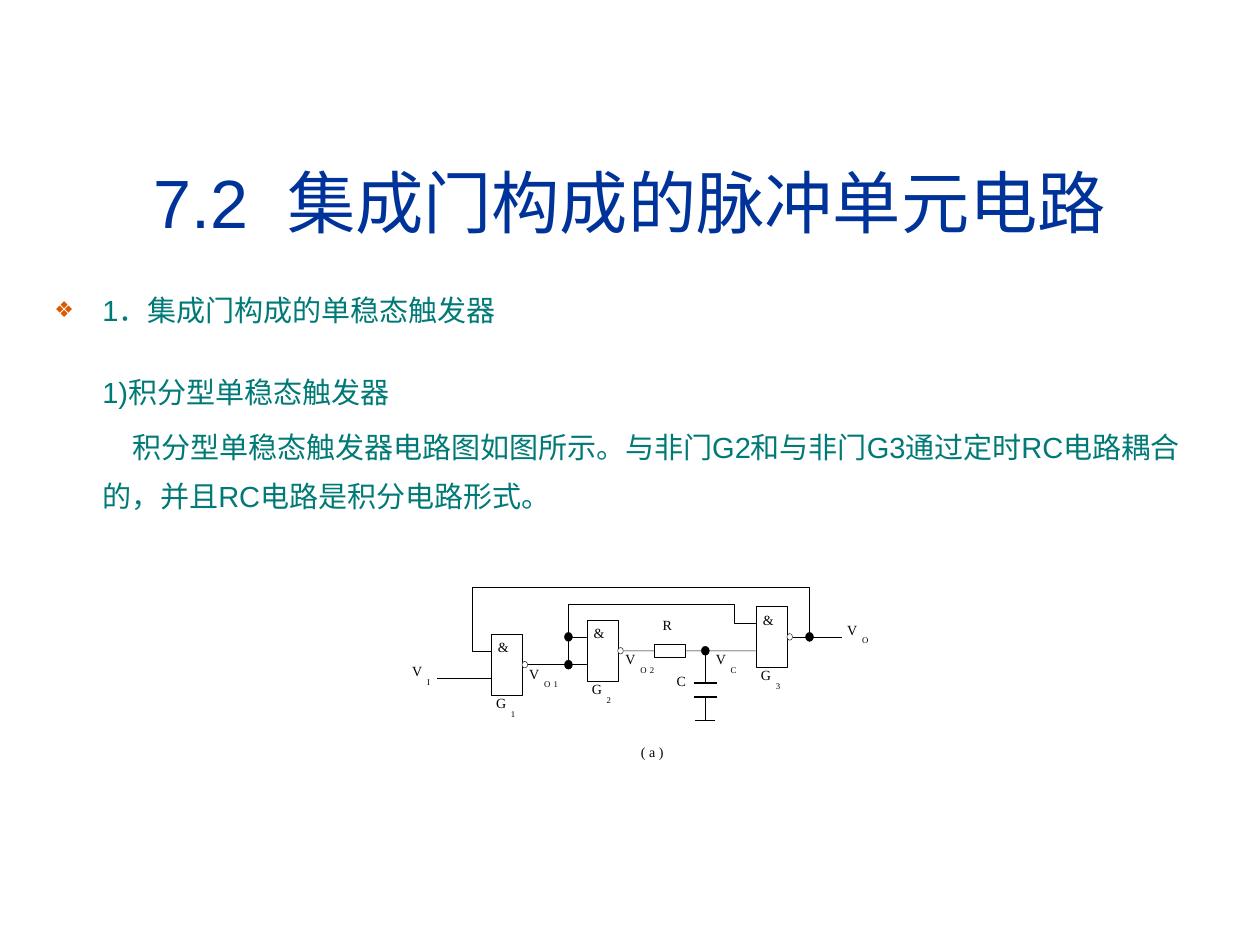
from lxml.etree import SubElement
from pptx import Presentation
from pptx.dml.color import RGBColor
from pptx.enum.shapes import MSO_CONNECTOR, MSO_SHAPE
from pptx.enum.text import MSO_ANCHOR, MSO_AUTO_SIZE, PP_ALIGN
from pptx.oxml.ns import qn
from pptx.util import Cm, Pt


def color(hex_string):
    return RGBColor.from_string(hex_string)


class CircuitSlide:
    """Style and current slide; every length is in centimetres."""

    heading_font, label_font = "Arial", "Times New Roman"
    title_color, body_color, bullet_color = "003399", "007A77", "DC5900"
    ink, paper = "000000", "FFFFFF"
    thin, thick = 0.25, 0.75
    gate_width, gate_height = 0.63, 1.24

    def __init__(self, deck):
        self.page = deck.slides.add_slide(deck.slide_layouts[1])
        self.circuit = self.page.shapes.add_group_shape().shapes

    def place(self, shape, left, top, width, height):
        shape.left, shape.top = Cm(left), Cm(top)
        shape.width, shape.height = Cm(width), Cm(height)

    def span(self, para, text, size, font, hex_string, spacing=0):
        """Add one run; spacing is the extra points after each letter."""
        span = para.add_run()
        span.text = text
        span.font.size = Pt(size)
        span.font.name = font
        span.font.color.rgb = color(hex_string)
        if spacing:
            span.font._element.set("spc", str(int(spacing * 100)))

    def title(self, parts):
        box = self.page.shapes.title
        self.place(box, 0.84, 1.7, 23.72, 3.18)
        frame = box.text_frame
        frame.auto_size = MSO_AUTO_SIZE.NONE
        frame.vertical_anchor = MSO_ANCHOR.BOTTOM
        frame.margin_left = frame.margin_right = frame.margin_bottom = 0
        para = frame.paragraphs[0]
        para.alignment = PP_ALIGN.CENTER
        for text, spacing in parts:
            self.span(para, text, 39, self.heading_font, self.title_color, spacing)

    def body(self, items):
        """Fill the body with (text, first-line indent, space before, bullet)."""
        box = self.page.placeholders[1]
        self.place(box, 0.84, 5.49, 23.72, 5.1)
        frame = box.text_frame
        frame.auto_size = MSO_AUTO_SIZE.NONE
        for number, (text, indent, before, bullet) in enumerate(items):
            para = frame.add_paragraph() if number else frame.paragraphs[0]
            self.bullet(para, indent, bullet)
            para.line_spacing = 1.4
            para.space_before = Pt(before)
            self.span(para, text, 16.6, self.heading_font, self.body_color)

    def bullet(self, para, indent, character):
        properties = para._p.get_or_add_pPr()
        properties.set("marL", str(Cm(0.97)))
        properties.set("indent", str(Cm(indent)))
        if not character:
            SubElement(properties, qn("a:buNone"))
            return
        tint = SubElement(properties, qn("a:buClr"))
        SubElement(tint, qn("a:srgbClr"), val=self.bullet_color)
        SubElement(properties, qn("a:buSzPct"), val="75000")
        SubElement(properties, qn("a:buFont"), typeface=self.heading_font)
        SubElement(properties, qn("a:buChar"), char=character)

    def shape(self, kind, left, top, width, height, fill):
        shape = self.circuit.add_shape(kind, Cm(left), Cm(top), Cm(width), Cm(height))
        shape.shadow.inherit = False
        shape.fill.solid()
        shape.fill.fore_color.rgb = color(fill)
        self.stroke(shape.line, self.thin)
        return shape

    def stroke(self, line, weight):
        line.color.rgb = color(self.ink)
        line.width = Pt(weight)

    def dot(self, x, y, width=0.16, height=0.18, fill=ink):
        self.shape(MSO_SHAPE.OVAL, x - width / 2, y - height / 2, width, height, fill)

    def line(self, x1, y1, x2, y2, weight=thin):
        wire = self.circuit.add_connector(
            MSO_CONNECTOR.STRAIGHT, Cm(x1), Cm(y1), Cm(x2), Cm(y2))
        self.stroke(wire.line, weight)
        SubElement(wire._element.spPr, qn("a:effectLst"))
        return wire

    def bent_wire(self, *points):
        start, *rest = [(Cm(x), Cm(y)) for x, y in points]
        builder = self.circuit.build_freeform(*start)
        builder.add_line_segments(rest, close=False)
        wire = builder.convert_to_shape()
        wire.shadow.inherit = False
        wire.fill.background()
        self.stroke(wire.line, self.thin)

    def text(self, text, x, y, size=8, spacing=0):
        width = len(text) * (size * 0.025 + spacing * 0.01)
        box = self.circuit.add_textbox(Cm(x), Cm(y), Cm(width), Cm(size * 0.04))
        frame = box.text_frame
        frame.word_wrap = False
        frame.margin_left = frame.margin_right = 0
        frame.margin_top = frame.margin_bottom = 0
        self.span(frame.paragraphs[0], text, size, self.label_font, self.ink, spacing)

    def label(self, letter, subscript, x, y):
        self.text(letter, x, y)
        self.text(subscript, x + 0.3, y + 0.28, 5, 1.8 if len(subscript) > 1 else 0)

    def gate(self, number, left, top):
        """Draw a NAND gate with its output bubble and its name."""
        width, height = self.gate_width, self.gate_height
        self.shape(MSO_SHAPE.RECTANGLE, left, top, width, height, self.paper)
        self.dot(left + width + 0.05, top + height / 2, 0.11, 0.13, self.paper)
        self.text("&", left + 0.14, top + 0.1)
        self.label("G", number, left + 0.1, top + height - 0.02)


def draw_circuit(slide):
    # Each gate sits one step higher than the one before it.
    step, first_top = 0.28, 12.78
    gates = [9.9, 11.83, 15.24]
    tops = [first_top - step * index for index in range(3)]
    first_out, second_out, third_out = [top + slide.gate_height / 2 for top in tops]
    first_end, second_end, third_end = [left + slide.gate_width + 0.11 for left in gates]
    tie_x, cap_x, output_x = 11.46, 14.22, 16.32
    ground_y = 14.51

    slide.bent_wire((gates[0], 13.13), (9.52, 13.13), (9.52, 11.84),
                    (output_x, 11.84), (output_x, third_out))
    slide.bent_wire((tie_x, first_out), (tie_x, 12.19), (14.81, 12.19),
                    (14.81, 12.57), (gates[2], 12.57))
    slide.line(8.81, 13.68, gates[0], 13.68)
    slide.line(first_end, first_out, gates[1], first_out)
    slide.line(tie_x, third_out, gates[1], third_out)
    slide.line(third_end, third_out, 16.97, third_out)

    resistor = slide.shape(MSO_SHAPE.RECTANGLE, 13.18, second_out - 0.13,
                           0.64, 0.26, slide.paper)
    slide.line(second_end, second_out, 13.18, second_out).end_connect(resistor, 1)
    slide.line(13.82, second_out, gates[2], second_out).begin_connect(resistor, 3)

    for plate_y, lead_y in ((13.77, second_out), (14.05, ground_y)):
        slide.line(cap_x - 0.23, plate_y, cap_x + 0.23, plate_y, slide.thick)
        slide.line(cap_x, plate_y, cap_x, lead_y)
    slide.line(cap_x - 0.2, ground_y, cap_x + 0.19, ground_y)

    for number, (left, top) in enumerate(zip(gates, tops), 1):
        slide.gate(str(number), left, top)
    for x, y in ((tie_x, first_out), (tie_x, third_out),
                 (cap_x, second_out), (output_x, third_out)):
        slide.dot(x, y)

    for subscript, x, y in (("I", 8.31, 13.36), ("O1", 10.67, 13.41),
                            ("O2", 12.61, 13.12), ("C", 14.43, 13.12),
                            ("O", 17.08, 12.52)):
        slide.label("V", subscript, x, y)
    slide.text("R", 13.36, 12.42)
    slide.text("C", 13.64, 13.56)
    slide.text("(a)", 12.92, 14.99, spacing=2)


def main():
    deck = Presentation()
    deck.slide_width, deck.slide_height = Cm(25.4), Cm(19.05)
    slide = CircuitSlide(deck)
    slide.title([("7.2", 0), (" ", 11), ("集成门构成的脉冲单元电路", 0)])
    slide.body([
        ("1．集成门构成的单稳态触发器", -0.97, 0, "❖"),
        ("1)积分型单稳态触发器", 0, 19, None),
        ("积分型单稳态触发器电路图如图所示。与非门G2和与非门G3通过定时RC电路"
         "耦合的，并且RC电路是积分电路形式。", 0.61, 3.4, None),
    ])
    draw_circuit(slide)
    deck.save("out.pptx")


if __name__ == "__main__":
    main()
